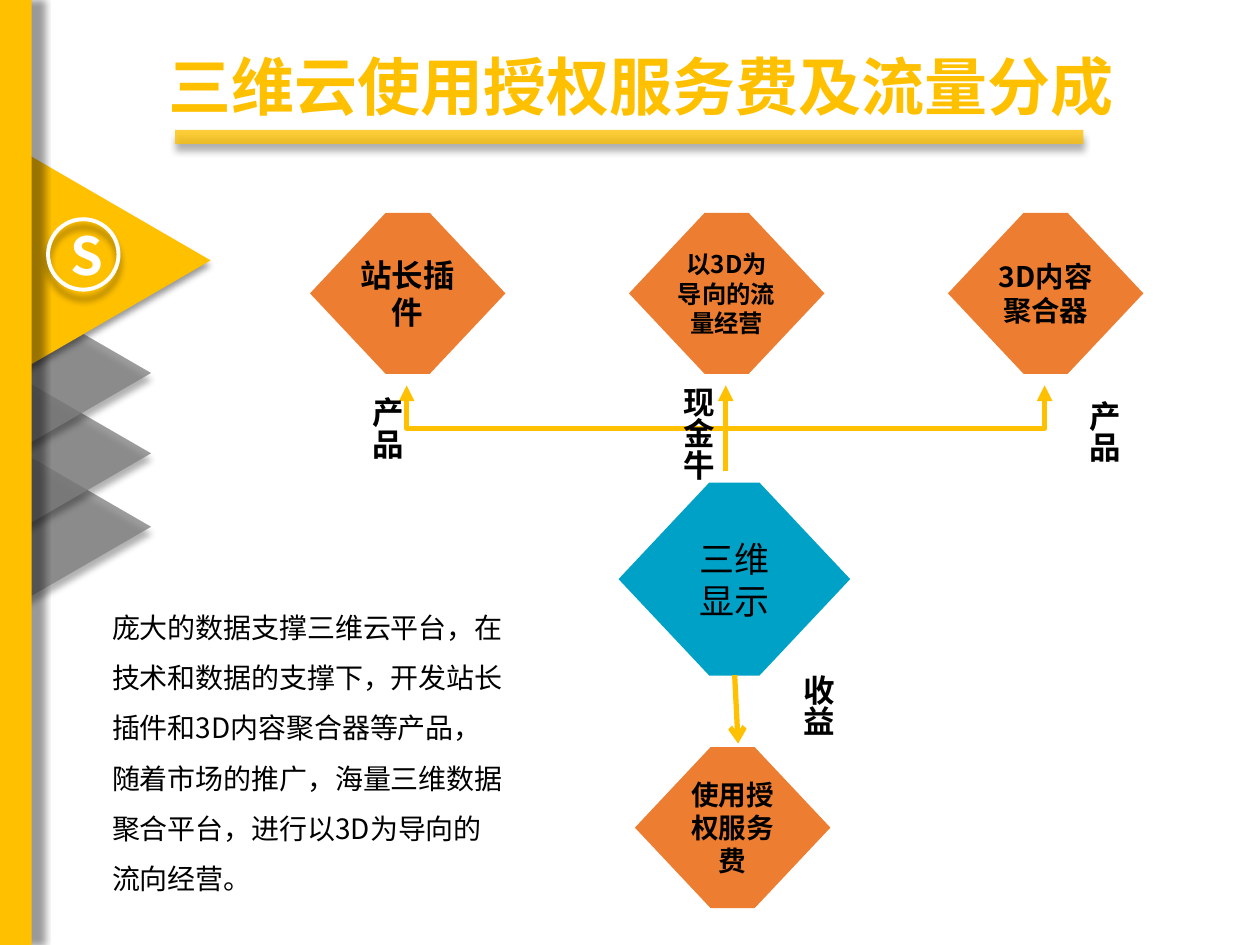
from dataclasses import dataclass

from pptx import Presentation
from pptx.dml.color import RGBColor
from pptx.enum.shapes import MSO_CONNECTOR, MSO_SHAPE
from pptx.enum.text import MSO_ANCHOR, MSO_AUTO_SIZE, PP_ALIGN
from pptx.oxml.ns import qn
from pptx.util import Cm, Pt
from lxml.etree import SubElement


@dataclass(frozen=True)
class Theme:
    face: str = "Noto Sans CJK SC"
    gold: str = "FFC000"
    gray: str = "808080"
    rust: str = "ED7D31"
    blue: str = "00A1C7"
    ink: str = "000000"
    white: str = "FFFFFF"
    title: float = 36
    badge: float = 30
    hub: float = 20
    label: float = 18
    body: float = 16


LOOK = Theme()
FLAT = {"margin_left": 0, "margin_right": 0, "margin_top": 0,
        "margin_bottom": 0, "vertical_anchor": MSO_ANCHOR.MIDDLE}
GROW = {"auto_size": MSO_AUTO_SIZE.SHAPE_TO_FIT_TEXT}


def apply(target, values):
    for key, value in values.items():
        setattr(target, key, value)


def add_node(tree, tag, **attrs):
    return SubElement(tree, qn(tag), attrs)


def write(frame, text, size, color, bold=False, para=None):
    frame.text = text
    for line in frame.paragraphs:
        apply(line, para or {})
        for run in line.runs:
            apply(run.font, {"name": LOOK.face, "size": Pt(size), "bold": bold})
            run.font.color.rgb = RGBColor.from_string(color)
            add_node(run.font._element, "a:ea", typeface=LOOK.face)


def add_form(slide, kind, box, fill=None, alpha=None, turn=0, shade=None):
    form = slide.shapes.add_shape(kind, *map(Cm, box))
    form.rotation = turn
    form.shadow.inherit = False
    form.line.fill.background()
    if fill:
        form.fill.solid()
        form.fill.fore_color.rgb = RGBColor.from_string(fill)
    else:
        form.fill.background()
    props = form._element.spPr
    if alpha:
        add_node(props.find(".//" + qn("a:srgbClr")), "a:alpha", val=str(alpha * 1000))
    if shade:
        gap, angle = shade
        drop = add_node(props.find(qn("a:effectLst")), "a:outerShdw",
                        blurRad=str(Pt(4)), dist=str(Pt(gap)),
                        dir=str(angle * 60000), algn="t", rotWithShape="0")
        tint = add_node(drop, "a:srgbClr", val=LOOK.ink)
        add_node(tint, "a:alpha", val="40000")
    return form


def add_hex(slide, box, text, size, fill=LOOK.rust, bold=True):
    form = add_form(slide, MSO_SHAPE.HEXAGON, box, fill)
    form.adjustments[0] = 0.47
    apply(form.text_frame, {**FLAT, "word_wrap": True})
    write(form.text_frame, text, size, LOOK.ink, bold, {"alignment": PP_ALIGN.CENTER})


def add_text(slide, box, text, size, color=LOOK.ink, bold=True, wrap=True,
             para=None, frame=None):
    area = slide.shapes.add_textbox(*map(Cm, box)).text_frame
    apply(area, {**GROW, "word_wrap": wrap, **(frame or {})})
    write(area, text, size, color, bold, para)
    return area


def add_tall(slide, box, text, **more):
    area = add_text(slide, box, text, LOOK.label, **more)
    area._txBody.bodyPr.set("vert", "eaVert")


def add_line(slide, kind, ends, head, turn=0):
    line = slide.shapes.add_connector(kind, *map(Cm, ends))
    line.line.width = Pt(3)
    line.line.color.rgb = RGBColor.from_string(LOOK.gold)
    props = line._element.spPr
    add_node(props.find(qn("a:ln")), "a:tailEnd", type=head)
    add_node(props, "a:effectLst")
    if turn:
        props.find(qn("a:xfrm")).set("rot", str(turn * 60000))


def add_branch(slide, start, end, low, high):
    mid, half = (start + end) / 2, (end - start) / 2
    row, rise = (low + high) / 2, (low - high) / 2
    ends = (mid + rise, row + half, mid - rise, row - half)
    add_line(slide, MSO_CONNECTOR.ELBOW, ends, "triangle", 90)


def add_side(slide):
    wedge = MSO_SHAPE.ISOSCELES_TRIANGLE
    for top in (9.3, 7.82, 6.2):
        add_form(slide, wedge, (0.2, top, 3.05, 2.64), LOOK.gray, 77, 90, (4, 90))
    add_form(slide, wedge, (0.1, 3.33, 4.45, 3.84), LOOK.gold, turn=90, shade=(3, 90))
    add_form(slide, MSO_SHAPE.RECTANGLE, (0, 0, 0.64, 19.05), LOOK.gold, shade=(7, 0))
    add_text(slide, (1.17, 4.37, 1.14, 1.63), "S", LOOK.badge, LOOK.white, wrap=False)
    ring = add_form(slide, MSO_SHAPE.OVAL, (0.97, 4.42, 1.42, 1.42), shade=(5, 90))
    ring.line.color.rgb = RGBColor.from_string(LOOK.white)
    ring.line.width = Pt(2.25)


def add_head(slide):
    add_text(slide, (3.15, 0.84, 19.76, 1.8), "三维云使用授权服务费及流量分成",
             LOOK.title, LOOK.gold, wrap=False)
    add_form(slide, MSO_SHAPE.RECTANGLE, (3.53, 2.62, 18.31, 0.28),
             LOOK.gold, 77, shade=(4, 90))


def add_flow(slide):
    step, left, wide, high = 6.43, 6.25, 3.94, 3.25
    center = 14.63
    goals = (("站长插件", 18), ("以3D为导向的流量经营", 13.9), ("3D内容聚合器", 16.2))
    for index, (text, size) in enumerate(goals):
        add_branch(slide, center, center + (index - 1) * step, 9.5, 7.77)
        add_hex(slide, (left + index * step, 4.29, wide, high), text, size)
    add_hex(slide, (12.47, 9.73, 4.67, 3.89), "三维\n显示", LOOK.hub, LOOK.blue, False)
    for x, y, text in ((6.99, 7.75, "产品"), (21.44, 7.82, "产品"), (13.26, 7.54, "现金牛")):
        add_tall(slide, (x, y, 1.32, 3.05), text)
    add_line(slide, MSO_CONNECTOR.STRAIGHT, (14.81, 13.61, 14.88, 14.99), "arrow")
    add_hex(slide, (12.8, 15.06, wide, high), "使用授权服务费", 15.8)
    add_tall(slide, (15.67, 12.19, 1.32, 4.29), "收益", frame={"margin_top": Cm(1.41)})


def main():
    deck = Presentation()
    apply(deck, {"slide_width": Cm(25.4), "slide_height": Cm(19.05)})
    slide = deck.slides.add_slide(deck.slide_layouts[6])
    add_side(slide)
    add_head(slide)
    add_flow(slide)
    add_text(slide, (2.01, 11.84, 8.46, 6.35),
             "庞大的数据支撑三维云平台，在技术和数据的支撑下，开发站长插件和3D内容聚合器等产品，"
             "随着市场的推广，海量三维数据聚合平台，进行以3D为导向的流向经营。",
             LOOK.body, bold=False, para={"line_spacing": 1.5})
    deck.save("out.pptx")


if __name__ == "__main__":
    main()
